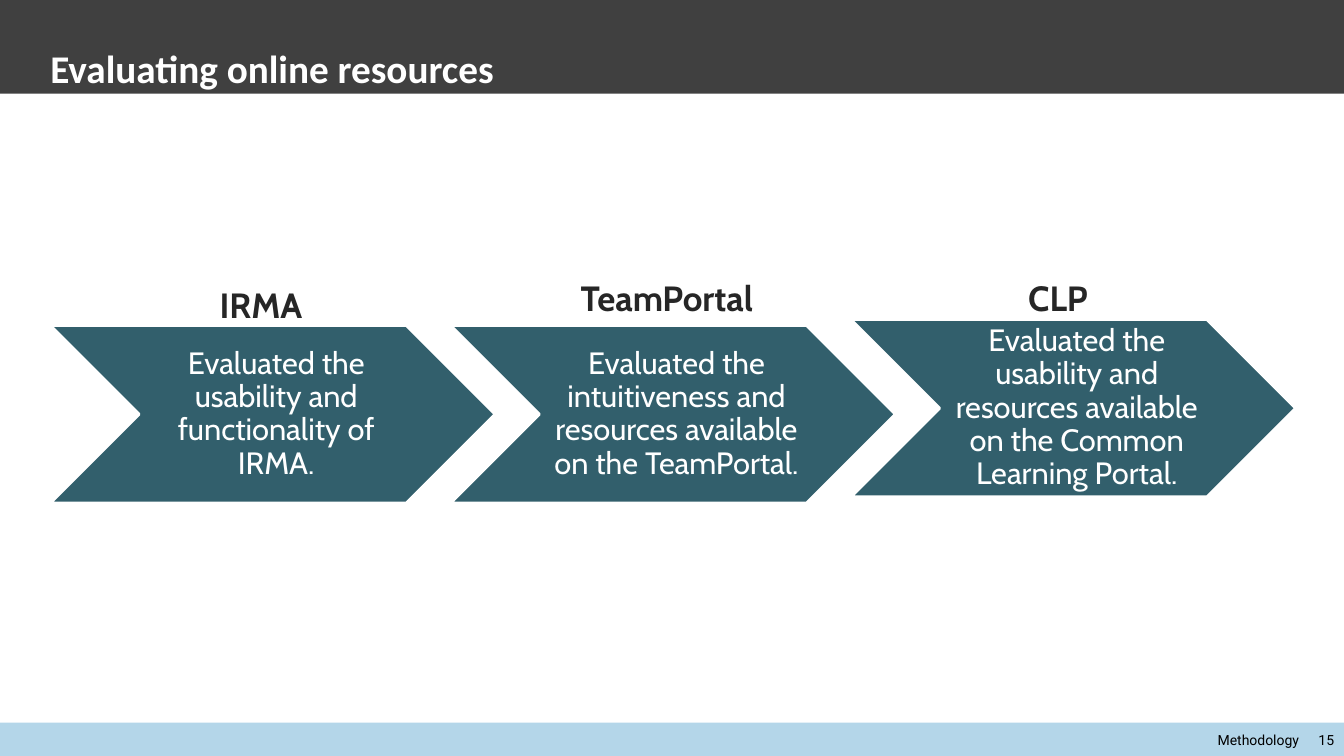
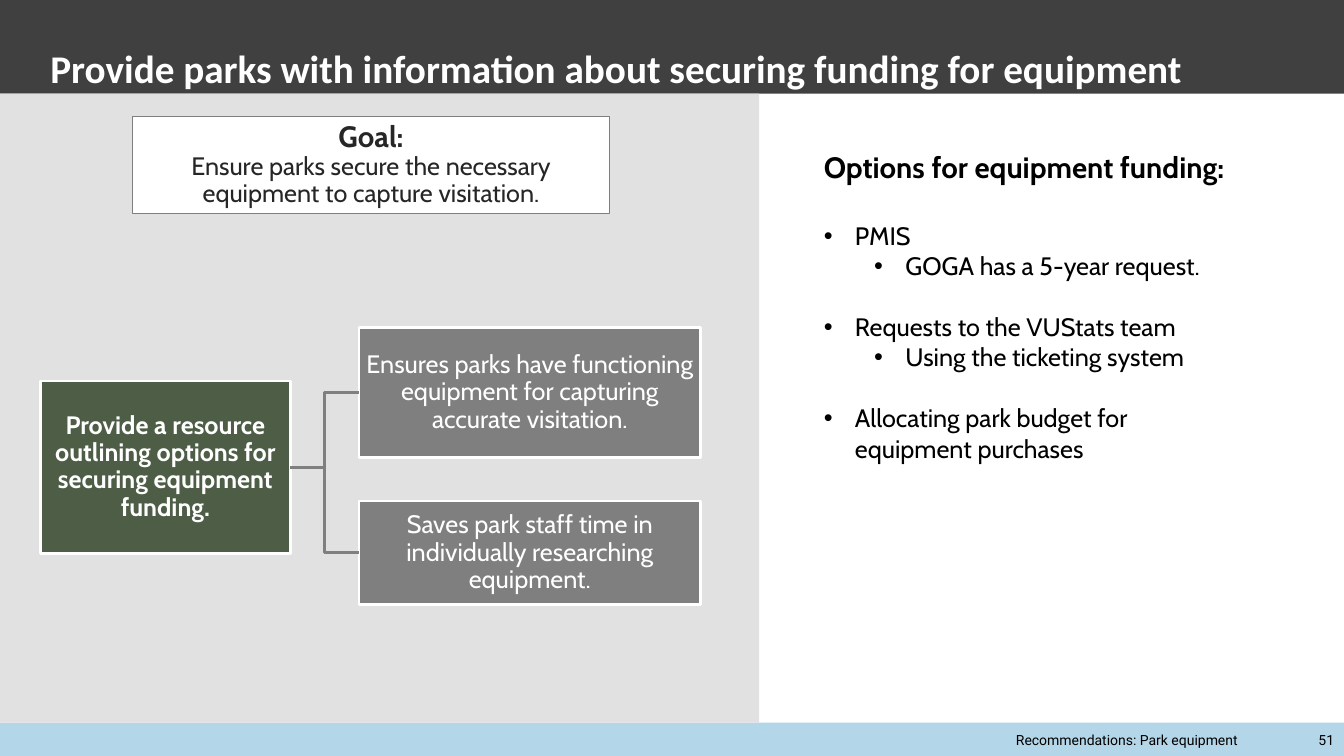
import pptx
import pptx.dml.color
import pptx.enum.shapes
import pptx.enum.text
import pptx.oxml.ns
import pptx.util
from lxml import etree

Inches, Pt = pptx.util.Inches, pptx.util.Pt
SHAPE = pptx.enum.shapes.MSO_SHAPE
ALIGN = pptx.enum.text.PP_ALIGN
ANCHOR = pptx.enum.text.MSO_ANCHOR
qn = pptx.oxml.ns.qn

COLORS = {
    name: pptx.dml.color.RGBColor.from_string(value)
    for name, value in {
        "header": "404040", "footer": "B4D6E9", "white": "FFFFFF",
        "black": "000000", "ink": "262626", "teal": "325F6C",
        "green": "4E5D46", "gray": "7F7F7F", "panel": "E1E1E1",
    }.items()
}


def write(paragraph, text, size, color, font="Cabin", bold=False,
          align=ALIGN.LEFT, spacing=1.0):
    paragraph.text = text
    paragraph.alignment = align
    paragraph.line_spacing = spacing
    paragraph.space_before = Pt(0)
    paragraph.font.name = font
    paragraph.font.size = Pt(size)
    paragraph.font.bold = bold
    paragraph.font.color.rgb = COLORS[color]


def add_block(slide, kind, place, fill, line=None, line_width=2, margins=None):
    """Add a filled preset shape; margins are left, top, right, bottom."""
    block = slide.shapes.add_shape(kind, *map(Inches, place))
    block.shadow.inherit = False
    block.fill.solid()
    block.fill.fore_color.rgb = COLORS[fill]
    if line:
        block.line.color.rgb = COLORS[line]
        block.line.width = Pt(line_width)
    else:
        block.line.fill.background()
    frame = block.text_frame
    frame.vertical_anchor = ANCHOR.MIDDLE
    if margins:
        (frame.margin_left, frame.margin_top,
         frame.margin_right, frame.margin_bottom) = map(Inches, margins)
    return block


deck = pptx.Presentation()
deck.slide_width, deck.slide_height = Inches(13.33), Inches(7.5)

# Titles and footers of both slides
pages = []
for layout, heading, section, number, footer_left in [
    (5, "Evaluating online resources", "Methodology", 15, 10.22),
    (1, "Provide parks with information about securing funding for equipment",
     "Recommendations: Park equipment", 51, 9.35),
]:
    page = deck.slides.add_slide(deck.slide_layouts[layout])
    title = page.shapes.title
    title.left, title.top = Inches(0.5), Inches(0.02)
    title.width, title.height = Inches(11.54), Inches(0.89)
    frame = title.text_frame
    frame.auto_size = pptx.enum.text.MSO_AUTO_SIZE.NONE
    frame.vertical_anchor = ANCHOR.BOTTOM
    frame.margin_left = frame.margin_bottom = 0
    write(frame.paragraphs[0], heading, 28, "white", "Calibri", True)

    footer = page.shapes.add_textbox(
        Inches(footer_left), Inches(7.2), Inches(13.33 - footer_left), Inches(0.28))
    footer.text_frame.word_wrap = True
    footer.text_frame.vertical_anchor = ANCHOR.MIDDLE
    line = footer.text_frame.paragraphs[0]
    tabs = etree.SubElement(line._p.get_or_add_pPr(), qn("a:tabLst"))
    for stop in (1, 3):
        etree.SubElement(tabs, qn("a:tab"), pos=str(Inches(stop)), algn="l")
    write(line, f"{section} \t{number}", 10, "black", "Roboto", align=ALIGN.RIGHT)
    pages.append(page)
resources, funding = pages

# Bands belong to the master, behind its placeholders
master_tree = deck.slide_master.element.cSld.spTree
for band_id, (top, height, fill) in enumerate(
        [(0, 0.93, "header"), (7.17, 0.33, "footer")], start=100):
    band = add_block(resources, SHAPE.RECTANGLE, (0, top, 13.33, height), fill)
    band.element.nvSpPr.cNvPr.set("id", str(band_id))
    master_tree.insert(2, band.element)

# Slide 1: three resources
for step, (name, name_left, name_top, top, finding) in enumerate([
    ("IRMA", 2.08, 2.76, 3.23, "Evaluated the usability and functionality of IRMA."),
    ("TeamPortal", 5.66, 2.69, 3.23,
     "Evaluated the intuitiveness and resources available on the TeamPortal."),
    ("CLP", 10.1, 2.69, 3.17,
     "Evaluated the usability and resources available on the Common Learning Portal."),
]):
    chevron = add_block(resources, SHAPE.CHEVRON, (0.5 + 3.97 * step, top, 4.41, 1.76),
                        "teal", "white", margins=(0.1, 0.03, 0.03, 0.03))
    write(chevron.text_frame.paragraphs[0], finding, 22, "white",
          align=ALIGN.CENTER, spacing=0.9)
    label = resources.shapes.add_textbox(
        Inches(name_left), Inches(name_top), Inches(2.5), Inches(0.52))
    label.text_frame.word_wrap = True
    write(label.text_frame.paragraphs[0], name, 25, "ink", bold=True)

# Slide 2: goal and the benefits of the recommendation
add_block(funding, SHAPE.RECTANGLE, (0, 0.93, 7.53, 6.24), "panel")
goal = add_block(funding, SHAPE.RECTANGLE, (1.31, 1.16, 4.74, 0.96),
                 "white", "gray", 0.75).text_frame
write(goal.paragraphs[0], "Goal:", 21, "ink", bold=True,
      align=ALIGN.CENTER, spacing=0.9)
write(goal.add_paragraph(),
      "Ensure parks secure the necessary equipment to capture visitation.",
      18, "ink", align=ALIGN.CENTER, spacing=0.9)

tree = []
for place, fill, text in [
    ((0.4, 3.78, 2.48, 1.71), "green",
     "Provide a resource outlining options for securing equipment funding."),
    ((3.56, 3.25, 3.39, 1.29), "gray",
     "Ensures parks have functioning equipment for capturing accurate visitation."),
    ((3.56, 4.97, 3.39, 1.03), "gray",
     "Saves park staff time in individually researching equipment."),
]:
    node = add_block(funding, SHAPE.RECTANGLE, place, fill, "white", margins=(0.01,) * 4)
    write(node.text_frame.paragraphs[0], text, 18, "white", bold=fill == "green",
          align=ALIGN.CENTER, spacing=0.9)
    tree.append(node)

recommendation, *benefits = tree
for benefit in benefits:
    branch = funding.shapes.add_connector(
        pptx.enum.shapes.MSO_CONNECTOR.ELBOW, 0, 0, 0, 0)
    branch.begin_connect(recommendation, 3)
    branch.end_connect(benefit, 1)
    branch.line.color.rgb = COLORS["gray"]
    branch.line.width = Pt(2)
    etree.SubElement(branch.element.spPr, qn("a:effectLst"))

# Slide 2: funding options
options = funding.placeholders[1]
options.left, options.top = Inches(8.07), Inches(1.43)
options.width, options.height = Inches(4.37), Inches(3.53)
options.text_frame.auto_size = pptx.enum.text.MSO_AUTO_SIZE.NONE
options.text_frame.vertical_anchor = ANCHOR.TOP
lead = options.text_frame.paragraphs[0]
lead_properties = lead._p.get_or_add_pPr()
lead_properties.set("marL", "0")
lead_properties.set("indent", "0")
etree.SubElement(lead_properties, qn("a:buNone"))
write(lead, "Options for equipment funding:", 21, "black", bold=True)
for level, gap, text in [
    (0, 25.5, "PMIS"),
    (1, 0, "GOGA has a 5-year request."),
    (0, 22, "Requests to the VUStats team"),
    (1, 0, "Using the ticketing system"),
    (0, 22, "Allocating park budget for equipment purchases"),
]:
    option = options.text_frame.add_paragraph()
    option.level = level
    properties = option._p.get_or_add_pPr()
    properties.set("marL", str(Inches(0.31 + 0.5 * level)))
    properties.set("indent", str(Inches(-0.31)))
    etree.SubElement(properties, qn("a:buFont"), typeface="Arial")
    etree.SubElement(properties, qn("a:buChar"), char="•")
    write(option, text, 18, "black")
    option.space_before = Pt(gap)

deck.save("out.pptx")
